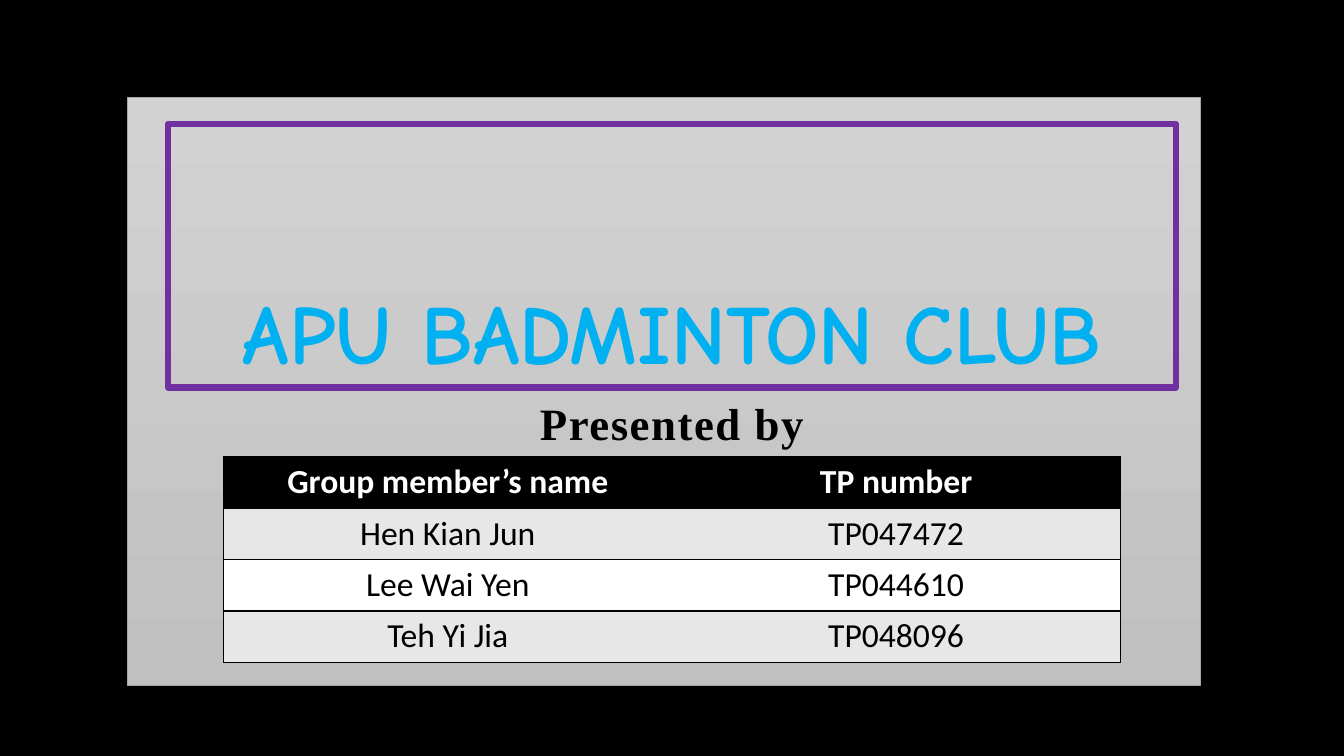
from dataclasses import dataclass

from lxml.etree import SubElement
from pptx import Presentation
from pptx.dml.color import RGBColor
from pptx.enum.shapes import MSO_SHAPE
from pptx.enum.text import MSO_ANCHOR, PP_ALIGN
from pptx.oxml.ns import qn
from pptx.slide import Slide
from pptx.table import _Cell
from pptx.text.text import _Paragraph
from pptx.util import Emu, Pt

SCALE = 9525
BLACK = "000000"
ROWS = [
    ("Group member’s name", "TP number"),
    ("Hen Kian Jun", "TP047472"),
    ("Lee Wai Yen", "TP044610"),
    ("Teh Yi Jia", "TP048096"),
]


@dataclass
class Style:
    font: str
    size: int
    color: str
    bold: bool = True


@dataclass
class Label:
    text: str
    box: tuple[int, int, int, int]
    style: Style
    anchor: MSO_ANCHOR
    edge: str
    width: float
    space: int = 0
    frame: str = ""


LABELS = [
    Label("APU BADMINTON CLUB", (160, 118, 960, 251),
          Style("Comic Neue", 60, "00B0F0"), MSO_ANCHOR.BOTTOM,
          "00B0F0", 2.25, frame="7030A0"),
    Label("Presented by", (160, 378, 960, 174),
          Style("Times New Roman", 32, BLACK), MSO_ANCHOR.TOP,
          "FF0000", 0.5, space=110),
]


def px(size: int) -> Emu:
    return Emu(size * SCALE)


def rgb(code: str) -> RGBColor:
    return RGBColor.from_string(code)


def write(para: _Paragraph, text: str, style: Style) -> None:
    para.text = text
    para.alignment = PP_ALIGN.CENTER
    font = para.runs[0].font
    font.name = style.font
    font.size = Pt(style.size)
    font.bold = style.bold
    font.color.rgb = rgb(style.color)


def stroke(owner, tag: str, spot: int, width: float, color: str) -> None:
    line = SubElement(owner, qn(tag), w=str(Pt(width)))
    if color:
        fill = SubElement(line, qn("a:solidFill"))
        SubElement(fill, qn("a:srgbClr"), val=color)
    else:
        SubElement(line, qn("a:noFill"))
    owner.insert(spot, line)


def add_panel(slide: Slide) -> None:
    panel = slide.shapes.add_shape(MSO_SHAPE.RECTANGLE, *map(px, (121, 93, 1022, 560)))
    panel.shadow.inherit = False
    panel.fill.gradient()
    panel.fill.gradient_angle = 270
    for stop, code in zip(panel.fill.gradient_stops, ("D2D2D2", "C0C0C0")):
        stop.color.rgb = rgb(code)
    panel.line.color.rgb = rgb("A5A5A5")
    panel.line.width = Pt(0.5)


def add_label(slide: Slide, label: Label) -> None:
    box = slide.shapes.add_textbox(*map(px, label.box))
    if label.frame:
        box.line.color.rgb = rgb(label.frame)
        box.line.width = Pt(4.5)
    frame = box.text_frame
    frame.word_wrap = True
    frame.vertical_anchor = label.anchor
    para = frame.paragraphs[0]
    write(para, label.text, label.style)
    para.line_spacing = 0.9
    props = para.runs[0].font._element
    if label.space:
        props.set("spc", str(label.space))
    stroke(props, "a:ln", 0, label.width, label.edge)


def fill_cell(cell: _Cell, text: str, row: int, col: int) -> None:
    head = row == 0
    style = Style("Calibri", 24, "FFFFFF" if head else BLACK, head)
    write(cell.text_frame.paragraphs[0], text, style)
    cell.fill.solid()
    cell.fill.fore_color.rgb = rgb(BLACK if head else "E7E7E7" if row % 2 else "FFFFFF")
    sides = {"L": col == 0, "R": col == 1, "T": True, "B": True}
    for spot, (side, shown) in enumerate(sides.items()):
        stroke(cell._tc.get_or_add_tcPr(), f"a:ln{side}", spot, 1, BLACK if shown else "")


def add_roster(slide: Slide) -> None:
    table = slide.shapes.add_table(len(ROWS), 2, *map(px, (213, 435, 854, 196))).table
    for row, names in enumerate(ROWS):
        for col, text in enumerate(names):
            fill_cell(table.cell(row, col), text, row, col)


def main() -> None:
    deck = Presentation()
    deck.slide_width, deck.slide_height = px(1280), px(720)
    slide = deck.slides.add_slide(deck.slide_layouts[6])
    slide.background.fill.solid()
    slide.background.fill.fore_color.rgb = rgb(BLACK)
    add_panel(slide)
    for label in LABELS:
        add_label(slide, label)
    add_roster(slide)
    deck.save("out.pptx")


if __name__ == "__main__":
    main()
